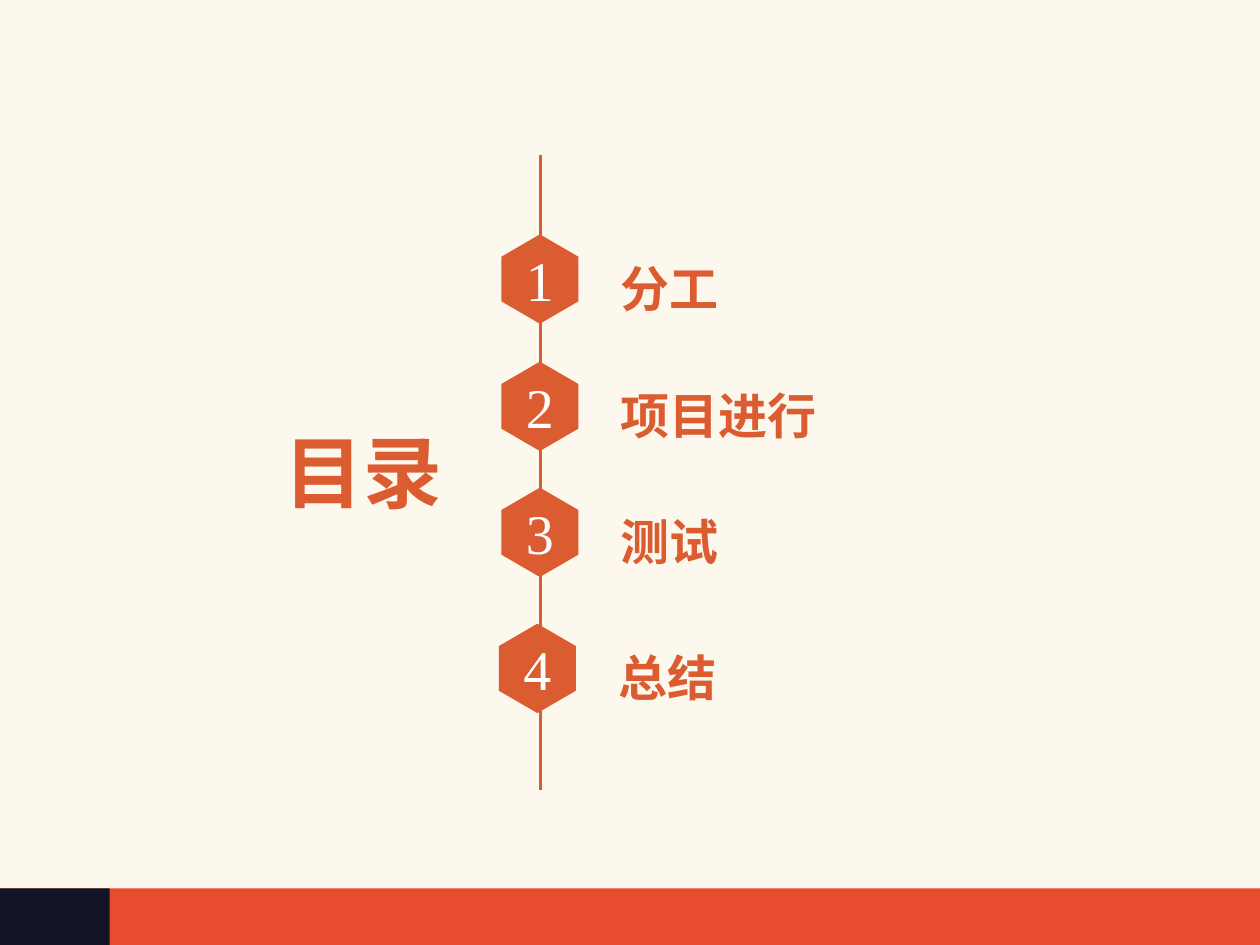
from pptx import Presentation
from pptx.dml.color import RGBColor
from pptx.enum.shapes import MSO_CONNECTOR as CONN, MSO_SHAPE as SHAPE
from pptx.enum.text import MSO_ANCHOR as ANCHOR, MSO_AUTO_SIZE as AUTO, PP_ALIGN as ALIGN
from pptx.oxml.ns import qn
from pptx.util import Inches, Pt

COLORS = {"cream": "FCF8ED", "red": "E74C2E", "navy": "131426",
          "accent": "DC5C31", "white": "FFFFFF"}
SERIF = "Times New Roman"
SANS = "Noto Sans CJK SC"
HEX_W, HEX_H = 0.61, 0.71
ITEMS = [("分工", 3.98, 1.86, 0.98), ("项目进行", 3.98, 2.87, 1.76),
         ("测试", 3.98, 3.87, 0.98), ("总结", 3.96, 4.95, 0.98)]


def rgb(name):
    return RGBColor.from_string(COLORS[name])


def write(tf, text, size, color="accent", font=SERIF, bold=False,
          align=ALIGN.LEFT, anchor=ANCHOR.TOP):
    tf.vertical_anchor = anchor
    p = tf.paragraphs[0]
    p.alignment = align
    r = p.add_run()
    r.text = text
    r.font.size = Pt(size)
    r.font.name = font
    r.font.bold = bold
    r.font.color.rgb = rgb(color)
    ea = r.font._element.makeelement(qn("a:ea"), {"typeface": SANS})
    r.font._element.find(qn("a:latin")).addnext(ea)


class Deck:
    def __init__(self, width, height):
        self.prs = Presentation()
        self.prs.slide_width = Inches(width)
        self.prs.slide_height = Inches(height)
        self.s = self.prs.slides.add_slide(self.prs.slide_layouts[5])

    def background(self, color):
        fill = self.s.background.fill
        fill.solid()
        fill.fore_color.rgb = rgb(color)

    def paint(self, sp, color):
        sp.fill.solid()
        sp.fill.fore_color.rgb = rgb(color)
        sp.line.fill.background()
        sp.shadow.inherit = False

    def bar(self, x, y, w, h, color):
        sp = self.s.shapes.add_shape(SHAPE.RECTANGLE, Inches(x), Inches(y),
                                     Inches(w), Inches(h))
        self.paint(sp, color)

    def line(self, x1, y1, x2, y2, color, width):
        c = self.s.shapes.add_connector(CONN.STRAIGHT, Inches(x1), Inches(y1),
                                        Inches(x2), Inches(y2))
        c.line.color.rgb = rgb(color)
        c.line.width = Pt(width)
        sp_pr = c._element.spPr
        sp_pr.append(sp_pr.makeelement(qn("a:effectLst"), {}))

    def hexagon(self, x, y, label):
        mid, right = x + HEX_W / 2, x + HEX_W
        upper, lower, bottom = y + HEX_H / 4, y + HEX_H * 3 / 4, y + HEX_H
        fb = self.s.shapes.build_freeform(Inches(mid), Inches(y))
        points = [(right, upper), (right, lower), (mid, bottom), (x, lower), (x, upper)]
        fb.add_line_segments([(Inches(px), Inches(py)) for px, py in points])
        sp = fb.convert_to_shape()
        self.paint(sp, "accent")
        write(sp.text_frame, label, 32, color="white",
              align=ALIGN.CENTER, anchor=ANCHOR.MIDDLE)

    def fit(self, sp):
        sp.text_frame.word_wrap = False
        sp.text_frame.auto_size = AUTO.SHAPE_TO_FIT_TEXT

    def label(self, x, y, w, h, text):
        sp = self.s.shapes.add_textbox(Inches(x), Inches(y), Inches(w), Inches(h))
        self.fit(sp)
        write(sp.text_frame, text, 28, bold=True)

    def title(self, x, y, w, h, text):
        sp = self.s.shapes.title
        sp.left, sp.top, sp.width, sp.height = map(Inches, (x, y, w, h))
        self.fit(sp)
        write(sp.text_frame, text, 45, font=SANS, bold=True)


def main():
    deck = Deck(10, 7.5)
    deck.background("cream")
    deck.bar(0, 7.05, 10, 0.46, "red")
    deck.bar(0, 7.05, 0.87, 0.46, "navy")
    deck.line(4.29, 1.23, 4.29, 6.27, "accent", 1.5)
    deck.title(2.16, 3.31, 1.47, 0.86, "目录")
    for number, (text, x, y, w) in enumerate(ITEMS, 1):
        deck.hexagon(x, y, str(number))
        deck.label(x + 0.85, y + 0.14, w, 0.57, text)
    deck.prs.save("out.pptx")


if __name__ == "__main__":
    main()
